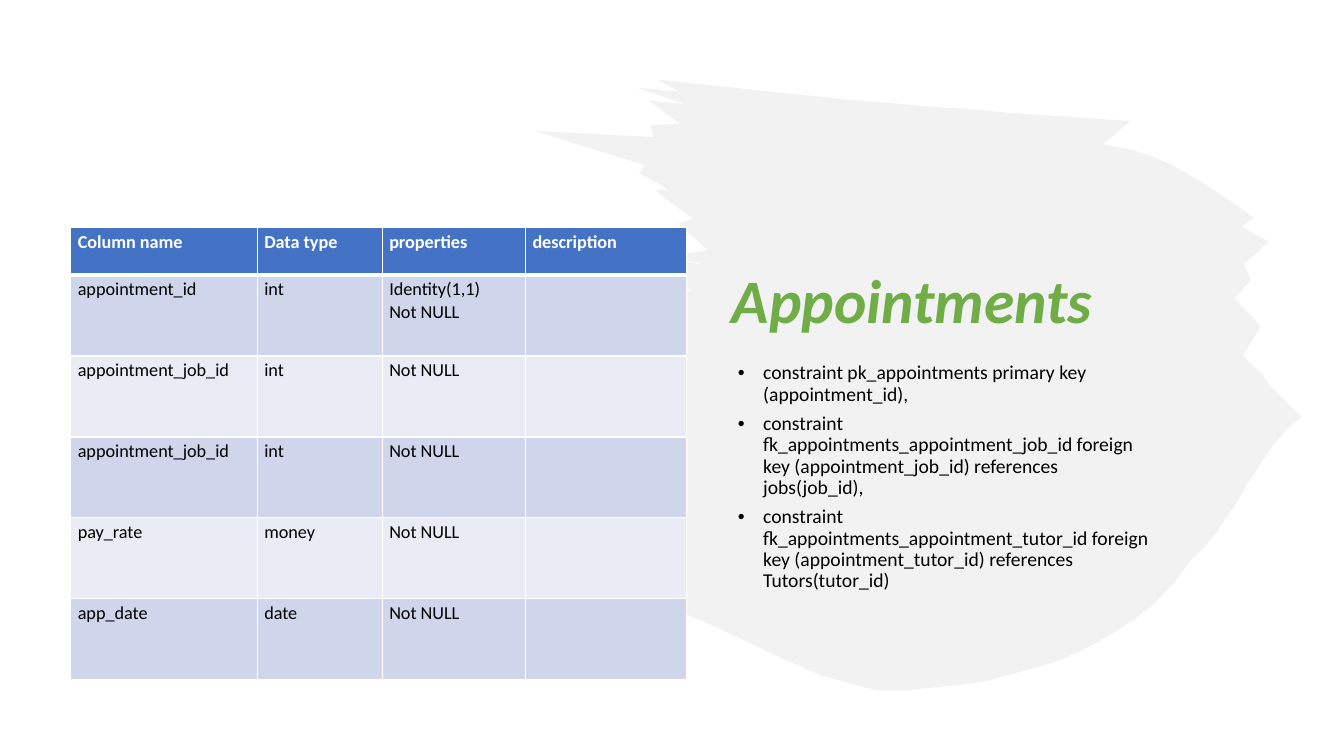
from dataclasses import dataclass
from typing import Optional

from lxml import etree
from pptx import Presentation
from pptx.dml.color import RGBColor
from pptx.enum.text import MSO_ANCHOR, MSO_AUTO_SIZE, PP_ALIGN
from pptx.oxml.ns import qn
from pptx.util import Cm, Pt

LEFT = PP_ALIGN.LEFT
TOP, BOTTOM = MSO_ANCHOR.TOP, MSO_ANCHOR.BOTTOM
NO_AUTOFIT = MSO_AUTO_SIZE.NONE


@dataclass(frozen=True)
class Theme:
    font: str = "Calibri"
    title_size: int = 44
    body_size: int = 14
    table_size: int = 13
    title: str = "70AD47"
    text: str = "000000"
    white: str = "FFFFFF"
    header: str = "4472C4"
    bands: tuple = ("CFD5EA", "E9EBF5")
    brush: str = "E7E6E6"
    brush_opacity: int = 50


@dataclass(frozen=True)
class Area:
    """A box on the slide, in centimetres."""
    left: float
    top: float
    width: float
    height: float


@dataclass(frozen=True)
class Column:
    heading: str
    width: float


@dataclass(frozen=True)
class Field:
    name: str
    data_type: str
    properties: tuple = ("Not NULL",)


@dataclass(frozen=True)
class Curve:
    """A smooth edge of the brush stroke: a cubic curve."""
    start: tuple
    leave: tuple
    arrive: tuple
    end: tuple


@dataclass(frozen=True)
class Bristle:
    """A rough spot on the brush stroke: a tip and the notch after it."""
    tip: tuple
    notch: tuple


THEME = Theme()
TITLE_AREA = Area(18.19, 4.09, 11.05, 4.52)
BODY_AREA = Area(18.19, 9.02, 11.05, 6.73)
TABLE_LEFT, TABLE_TOP = 1.78, 5.74
HEADER_HEIGHT, FIELD_HEIGHT = 1.19, 2.04

COLUMNS = (Column("Column name", 4.7), Column("Data type", 3.15),
           Column("properties", 3.61), Column("description", 4.06))
FIELDS = (
    Field("appointment_id", "int", ("Identity(1,1)", "Not NULL")),
    Field("appointment_job_id", "int"),
    Field("appointment_job_id", "int"),
    Field("pay_rate", "money"),
    Field("app_date", "date"),
)
CONSTRAINTS = (
    "constraint pk_appointments primary key (appointment_id),",
    "constraint fk_appointments_appointment_job_id foreign key "
    "(appointment_job_id) references jobs(job_id),",
    "constraint fk_appointments_appointment_tutor_id foreign key "
    "(appointment_tutor_id) references Tutors(tutor_id)",
)

# The brush stroke runs clockwise, in hundredths of an inch.
BRUSH_UNIT = Cm(2.54) / 100
CURVE_STEPS = 16
TOP_EDGE = Curve((652, 79), (800, 96), (960, 110), (1122, 120))
SHOULDER = Curve((1094, 143), (1150, 150), (1190, 178), (1244, 216))
RIGHT_BRISTLES = (
    Bristle((1244, 216), (1232, 225)),
    Bristle((1259, 240), (1234, 262)),
    Bristle((1241, 278), (1225, 296)),
    Bristle((1251, 324), (1233, 353)),
    Bristle((1252, 371), (1261, 384)),
)
LOWER_RIGHT = Curve((1292, 414), (1250, 440), (1225, 520), (1182, 555))
BELLY = Curve((1182, 555), (1099, 685), (895, 686), (872, 685))
UNDERSIDE = Curve((872, 685), (790, 670), (740, 630), (657, 600))
LEFT_BRISTLES = (
    Bristle((553, 449), (603, 389)),
    Bristle((577, 288), (686, 289)),
    Bristle((594, 240), (701, 264)),
    Bristle((668, 254), (702, 248)),
    Bristle((673, 222), (687, 217)),
    Bristle((650, 189), (663, 188)),
    Bristle((634, 172), (640, 164)),
    Bristle((531, 130), (649, 136)),
    Bristle((645, 124), (675, 123)),
    Bristle((644, 100), (679, 103)),
    Bristle((632, 87), (674, 91)),
)
BRUSH_EDGES = (TOP_EDGE, SHOULDER, *RIGHT_BRISTLES, LOWER_RIGHT, BELLY,
               UNDERSIDE, *LEFT_BRISTLES)


def rgb(value: str) -> RGBColor:
    return RGBColor.from_string(value)


def write_text(frame, lines: tuple, *, size: int, color: str, bold: bool = False,
               italic: bool = False, line_spacing: Optional[float] = None,
               space_after: int = 0) -> None:
    for index, line in enumerate(lines):
        para = frame.add_paragraph() if index else frame.paragraphs[0]
        para.alignment = LEFT
        para.line_spacing = line_spacing
        para.space_before, para.space_after = Pt(0), Pt(space_after)
        span = para.add_run()
        span.text = line
        font = span.font
        font.name, font.size = THEME.font, Pt(size)
        font.bold, font.italic = bold, italic
        font.color.rgb = rgb(color)


def place_frame(box, area: Area, anchor: MSO_ANCHOR):
    """Move a placeholder and return its prepared text frame."""
    box.left, box.top = Cm(area.left), Cm(area.top)
    box.width, box.height = Cm(area.width), Cm(area.height)
    frame = box.text_frame
    frame.word_wrap, frame.auto_size = True, NO_AUTOFIT
    frame.vertical_anchor = anchor
    return frame


def add_bullets(frame) -> None:
    for para in frame.paragraphs:
        properties = para._p.get_or_add_pPr()
        properties.set("marL", str(Cm(0.79)))
        properties.set("indent", str(Cm(-0.64)))
        etree.SubElement(properties, qn("a:buFont"), typeface="Arial")
        etree.SubElement(properties, qn("a:buChar"), char="•")


def edge_points(edge: Curve | Bristle) -> list:
    if isinstance(edge, Bristle):
        return [edge.tip, edge.notch]
    controls = (edge.start, edge.leave, edge.arrive, edge.end)
    points = []
    for step in range(CURVE_STEPS + 1):
        t = step / CURVE_STEPS
        u = 1 - t
        weights = (u ** 3, 3 * t * u ** 2, 3 * t ** 2 * u, t ** 3)
        points.append(tuple(sum(weight * control[axis] for weight, control
                                in zip(weights, controls)) for axis in (0, 1)))
    return points


def draw_brush(page) -> None:
    outline = [point for edge in BRUSH_EDGES for point in edge_points(edge)]
    builder = page.shapes.build_freeform(*outline[0], scale=BRUSH_UNIT)
    builder.add_line_segments(outline[1:], close=True)
    brush = builder.convert_to_shape()
    brush.shadow.inherit = False
    brush.line.fill.background()
    brush.fill.solid()
    brush.fill.fore_color.rgb = rgb(THEME.brush)
    color = brush._element.spPr.find(qn("a:solidFill"))[0]
    etree.SubElement(color, qn("a:alpha"), val=str(THEME.brush_opacity * 1000))
    page.shapes._spTree.insert(2, brush._element)


def set_borders(cell, widths: dict) -> None:
    """Give the cell white borders, 1 pt wide unless widths says otherwise."""
    properties = cell._tc.get_or_add_tcPr()
    for side in ("L", "R", "T", "B"):
        line = etree.SubElement(properties, qn(f"a:ln{side}"),
                                w=str(Pt(widths.get(side, 1))))
        fill = etree.SubElement(line, qn("a:solidFill"))
        etree.SubElement(fill, qn("a:srgbClr"), val=THEME.white)


def draw_table(page) -> None:
    rows = [[(column.heading,) for column in COLUMNS]]
    rows += [[(field.name,), (field.data_type,), field.properties, ()] for field in FIELDS]
    heights = [HEADER_HEIGHT] + [FIELD_HEIGHT] * len(FIELDS)
    table = page.shapes.add_table(
        len(rows), len(COLUMNS), Cm(TABLE_LEFT), Cm(TABLE_TOP),
        Cm(sum(column.width for column in COLUMNS)), Cm(sum(heights))).table
    for index, column in enumerate(COLUMNS):
        table.columns[index].width = Cm(column.width)
    for row, (texts, height) in enumerate(zip(rows, heights)):
        table.rows[row].height = Cm(height)
        header = row == 0
        for index, lines in enumerate(texts):
            cell = table.cell(row, index)
            set_borders(cell, {0: {"B": 3}, 1: {"T": 3}}.get(row, {}))
            cell.fill.solid()
            cell.fill.fore_color.rgb = rgb(THEME.header if header else THEME.bands[(row - 1) % 2])
            cell.margin_left = cell.margin_right = Cm(0.18)
            cell.margin_top = cell.margin_bottom = Cm(0.09)
            write_text(cell.text_frame, lines, size=THEME.table_size, bold=header,
                       color=THEME.white if header else THEME.text)


def main() -> None:
    deck = Presentation()
    deck.slide_width, deck.slide_height = Cm(33.87), Cm(19.05)
    page = deck.slides.add_slide(deck.slide_layouts[1])
    draw_brush(page)
    title = place_frame(page.shapes.title, TITLE_AREA, BOTTOM)
    write_text(title, ("Appointments",), size=THEME.title_size, color=THEME.title,
               bold=True, italic=True, line_spacing=0.9)
    body = place_frame(page.placeholders[1], BODY_AREA, TOP)
    write_text(body, CONSTRAINTS, size=THEME.body_size, color=THEME.text,
               line_spacing=0.9, space_after=6)
    add_bullets(body)
    draw_table(page)
    deck.save("out.pptx")


if __name__ == "__main__":
    main()
